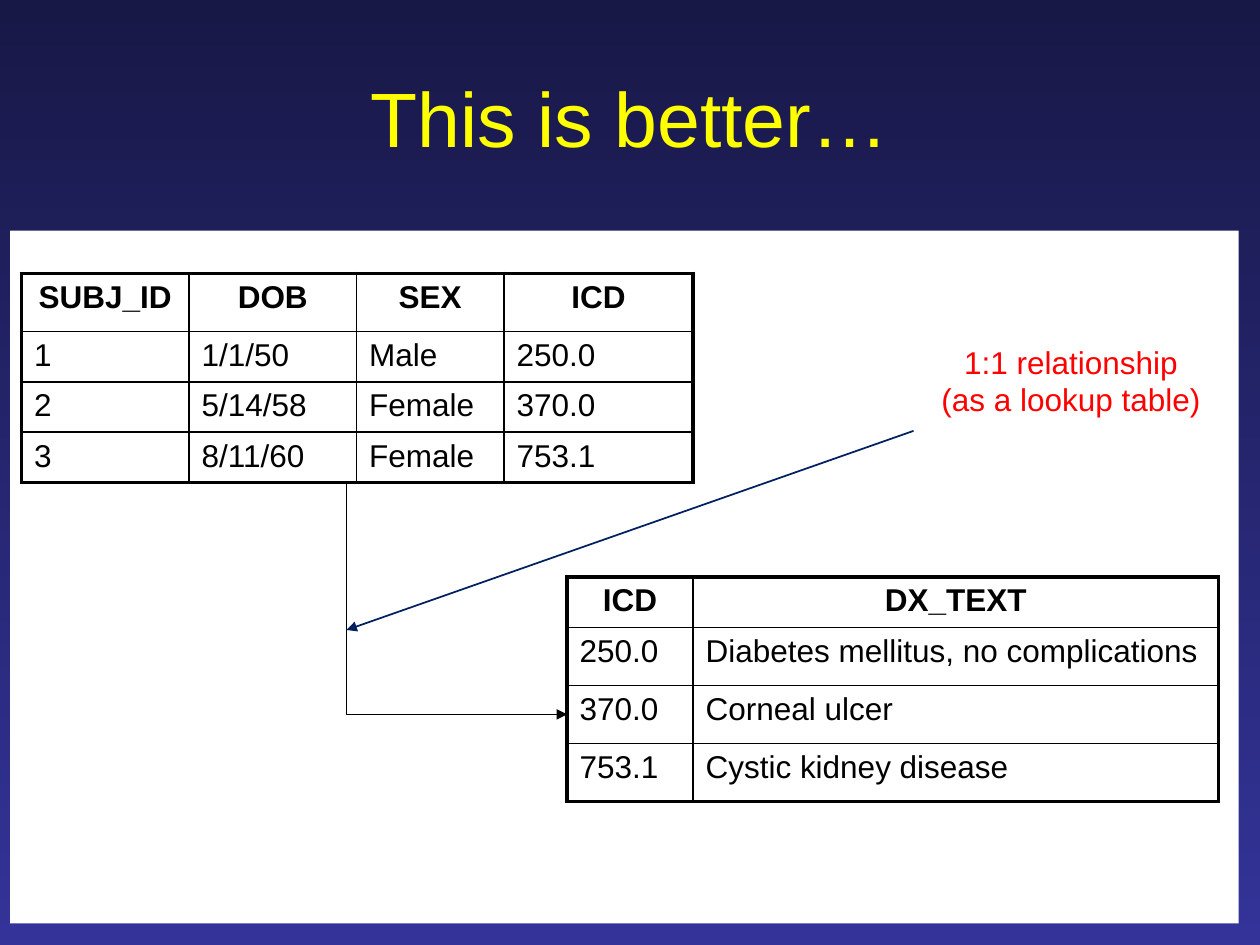
"""Build a slide that links a subject table to a diagnosis lookup table."""
from pptx import Presentation
from pptx.dml.color import RGBColor
from pptx.enum.shapes import MSO_CONNECTOR as Link, MSO_SHAPE as Preset
from pptx.enum.text import MSO_ANCHOR as Anchor, PP_ALIGN as Align
from pptx.oxml.ns import qn
from pptx.util import Inches, Pt
from lxml.etree import SubElement

TITLE = "This is better…"
NOTE = ["1:1 relationship", "(as a lookup table)"]
BLACK, WHITE, YELLOW, RED, NAVY = "000000", "FFFFFF", "FFFF00", "FF0000", "002060"
BACKGROUND = ["181847", "333399"]
THIN, THICK = 1, 2.25
TABLES = [
    {"corner": (0.17, 2.17), "columns": [1.33, 1.33, 1.17, 1.5],
     "rows": [0.46, 0.4, 0.4, 0.4],
     "cells": [["SUBJ_ID", "DOB", "SEX", "ICD"],
               ["1", "1/1/50", "Male", "250.0"],
               ["2", "5/14/58", "Female", "370.0"],
               ["3", "8/11/60", "Female", "753.1"]]},
    {"corner": (4.5, 4.58), "columns": [1, 4.17],
     "rows": [0.4, 0.46, 0.46, 0.46],
     "cells": [["ICD", "DX_TEXT"],
               ["250.0", "Diabetes mellitus, no complications"],
               ["370.0", "Corneal ulcer"],
               ["753.1", "Cystic kidney disease"]]},
]
LOOKUP_START, LOOKUP_END = (2.75, 3.83), (4.5, 5.67)
POINTER_START, POINTER_END = (7.25, 3.42), (2.75, 5)


def colour(value):
    return RGBColor.from_string(value)


def inches(*values):
    return [Inches(value) for value in values]


def write(para, text, size, shade, align=Align.LEFT, bold=False):
    para.alignment = align
    span = para.add_run()
    span.text = text
    span.font.name, span.font.size, span.font.bold = "Arial", Pt(size), bold
    span.font.color.rgb = colour(shade)


def add_border(cell, side, width):
    edge = SubElement(cell._tc.get_or_add_tcPr(), qn("a:ln" + side), w=str(int(Pt(width))))
    SubElement(SubElement(edge, qn("a:solidFill")), qn("a:srgbClr"), val=BLACK)


def add_grid(page, corner, columns, rows, cells):
    frame = page.shapes.add_table(len(rows), len(columns),
                                  *inches(*corner, sum(columns), sum(rows)))
    table = frame.table
    table.first_row = table.horz_banding = False
    for column, width in zip(table.columns, columns):
        column.width = Inches(width)
    for row, height in zip(table.rows, rows):
        row.height = Inches(height)
    for r, texts in enumerate(cells):
        for c, text in enumerate(texts):
            cell = table.cell(r, c)
            outer = {"L": c == 0, "R": c == len(columns) - 1,
                     "T": r == 0, "B": r == len(rows) - 1}
            for side, is_outer in outer.items():
                add_border(cell, side, THICK if is_outer else THIN)
            cell.fill.background()
            write(cell.text_frame.paragraphs[0], text, 18, BLACK,
                  Align.CENTER if r == 0 else Align.LEFT, r == 0)


def add_arrow(page, kind, start, end, shade):
    arrow = page.shapes.add_connector(kind, *inches(*start, *end))
    arrow.line.color.rgb = colour(shade)
    arrow.line.width = Pt(THIN)
    SubElement(arrow.line._get_or_add_ln(), qn("a:tailEnd"), type="triangle")
    SubElement(arrow._element.spPr, qn("a:effectLst"))
    return arrow


def add_corner_arrow(page, start, end, shade):
    across, down = end[0] - start[0], end[1] - start[1]
    left = (start[0] + end[0] - down) / 2
    top = (start[1] + end[1] - across) / 2
    arrow = add_arrow(page, Link.ELBOW, (left, top), (left + down, top + across), shade)
    shape = arrow._element.spPr
    shape.find(qn("a:prstGeom")).set("prst", "bentConnector2")
    frame = shape.find(qn("a:xfrm"))
    frame.set("rot", str(270 * 60000))
    frame.set("flipH", "1")


deck = Presentation()
deck.slide_width, deck.slide_height = inches(10, 7.5)
page = deck.slides.add_slide(deck.slide_layouts[5])
fill = page.background.fill
fill.gradient()
fill.gradient_angle = 270
for stop, shade, position in zip(fill.gradient_stops, BACKGROUND, (0, 1)):
    stop.color.rgb = colour(shade)
    stop.position = position

panel = page.shapes.add_shape(Preset.RECTANGLE, *inches(0.08, 1.83, 9.75, 5.5))
panel.shadow.inherit = False
panel.fill.solid()
panel.fill.fore_color.rgb = colour(WHITE)
panel.line.fill.background()

title = page.shapes.title
title.left, title.top, title.width, title.height = inches(0.5, 0.3, 9, 1.25)
title.text_frame.vertical_anchor = Anchor.MIDDLE
write(title.text_frame.paragraphs[0], TITLE, 44, YELLOW, Align.CENTER)

for grid in TABLES:
    add_grid(page, **grid)
add_corner_arrow(page, LOOKUP_START, LOOKUP_END, BLACK)

note = page.shapes.add_textbox(*inches(7.36, 2.67, 2.28, 0.71)).text_frame
note.word_wrap = False
for index, line in enumerate(NOTE):
    para = note.add_paragraph() if index else note.paragraphs[0]
    write(para, line, 18, RED, Align.CENTER)
add_arrow(page, Link.STRAIGHT, POINTER_START, POINTER_END, NAVY)

deck.save("out.pptx")
